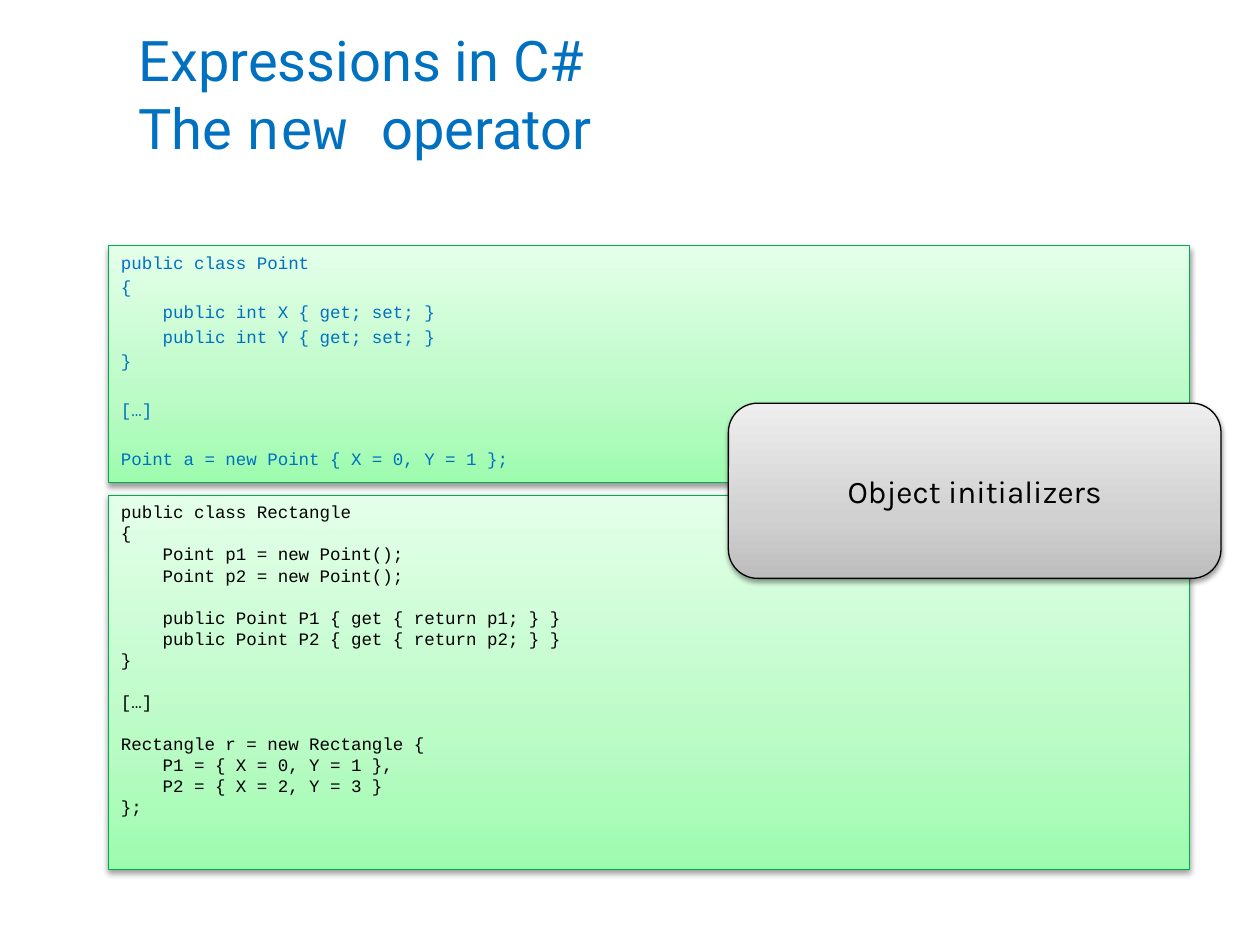
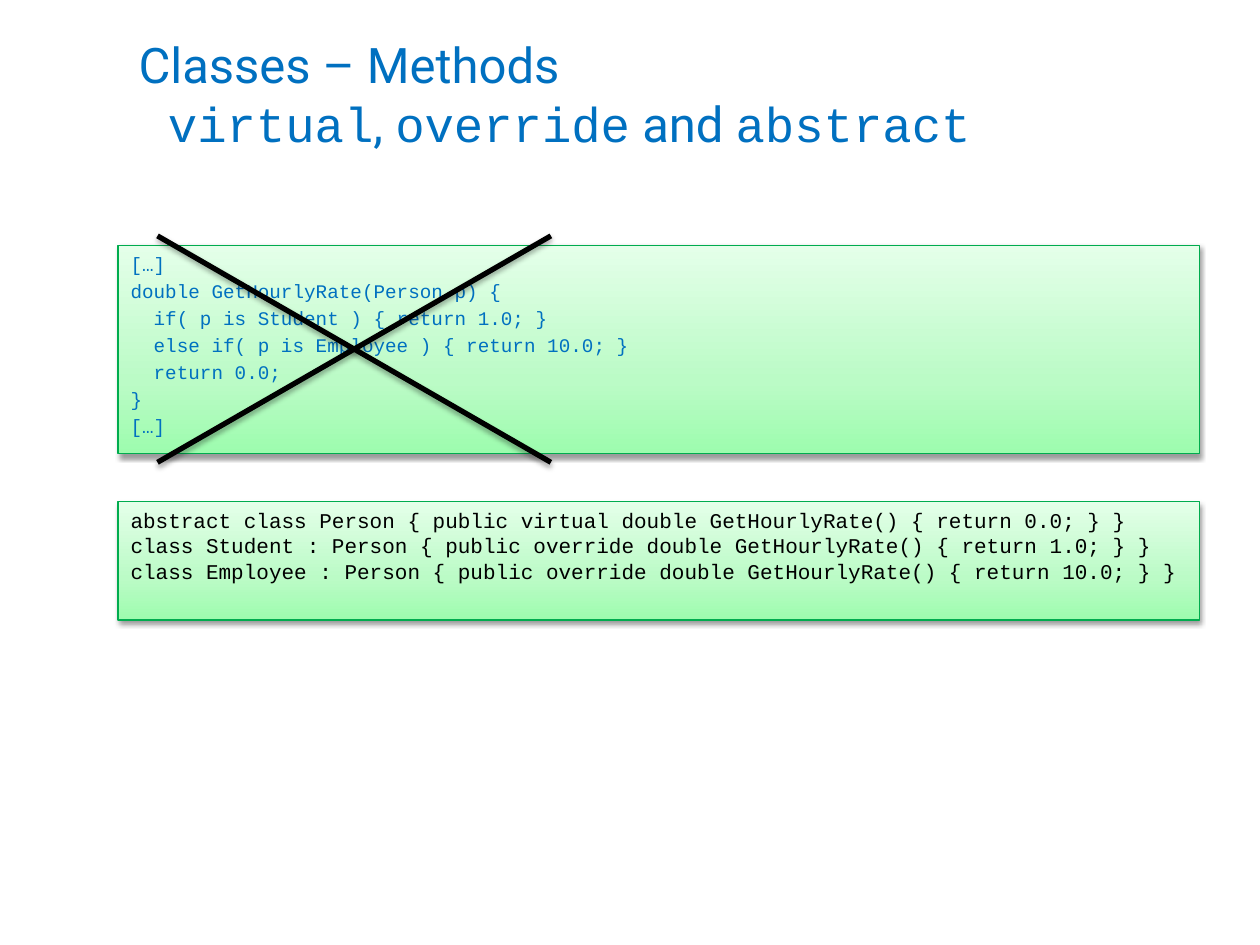
import lxml.etree
import copy
import pptx
import pptx.util
import pptx.dml.color
import pptx.enum.shapes
import pptx.enum.text
import pptx.oxml.ns

Pt = pptx.util.Pt
qn = pptx.oxml.ns.qn
Shape = pptx.enum.shapes.MSO_SHAPE
Anchor = pptx.enum.text.MSO_ANCHOR
Align = pptx.enum.text.PP_ALIGN

BLUE, BLACK, GREEN = "0070C0", "000000", "00AC4E"
MINT = ("9DFCAE", "BBFBC6", "E4FFE9")
GREY = ("BDBDBD", "D1D1D1", "EEEEEE")
SANS, MONO, LABEL = "Roboto", "Courier New", "Karla"
WIDE, TOP = 617.8, 140.4

POINT = """public class Point
{
    public int X { get; set; }
    public int Y { get; set; }
}

[…]

Point a = new Point { X = 0, Y = 1 };"""

RECT = """public class Rectangle
{
    Point p1 = new Point();
    Point p2 = new Point();

    public Point P1 { get { return p1; } }
    public Point P2 { get { return p2; } }
}

[…]

Rectangle r = new Rectangle {
    P1 = { X = 0, Y = 1 },
    P2 = { X = 2, Y = 3 }
};"""

CHECKS = """[…]
double GetHourlyRate(Person p) {
  if( p is Student ) { return 1.0; }
  else if( p is Employee ) { return 10.0; }
  return 0.0;
}
[…]"""

PEOPLE = """abstract class Person { public virtual double GetHourlyRate() { return 0.0; } }
class Student : Person { public override double GetHourlyRate() { return 1.0; } }
class Employee : Person { public override double GetHourlyRate() { return 10.0; } }"""


def paint(code):
    return pptx.dml.color.RGBColor.from_string(code)


class Deck:
    def __init__(self):
        self.show = pptx.Presentation()
        self.show.slide_width, self.show.slide_height = Pt(720), Pt(540)

    def title(self, size, *lines):
        self.slide = self.show.slides.add_slide(self.show.slide_layouts[5])
        head = self.slide.shapes.title
        head.left, head.top, head.width, head.height = Pt(72), Pt(12.2), Pt(630), Pt(82.1)
        frame = head.text_frame
        frame.auto_size = pptx.enum.text.MSO_AUTO_SIZE.NONE
        frame.vertical_anchor = Anchor.MIDDLE
        para = frame.paragraphs[0]
        para.alignment = Align.LEFT
        self.font(para.font, SANS, size, BLUE)
        for row, line in enumerate(lines):
            if row:
                para.add_line_break()
            for text, face in line:
                run = para.add_run()
                run.text, run.font.name = text, face

    def font(self, font, face, size, tint):
        font.name, font.size = face, Pt(size)
        font.color.rgb = paint(tint)

    def shade(self, part, alpha, far):
        effects = lxml.etree.SubElement(part.element.spPr, qn("a:effectLst"))
        outer = lxml.etree.SubElement(
            effects, qn("a:outerShdw"), blurRad=str(Pt(3.1)), dist=str(Pt(far)),
            dir="5400000", rotWithShape="0")
        tint = lxml.etree.SubElement(outer, qn("a:srgbClr"), val=BLACK)
        lxml.etree.SubElement(tint, qn("a:alpha"), val=str(alpha * 1000))

    def panel(self, kind, box, tints, edge):
        shape = self.slide.shapes.add_shape(kind, *map(Pt, box))
        shape.fill.gradient()
        shape.fill.gradient_angle = 90
        stops = shape.element.spPr.find(".//" + qn("a:gsLst"))
        stops.append(copy.deepcopy(stops[0]))
        for stop, tint, place in zip(shape.fill.gradient_stops, tints, (0, 0.35, 1)):
            stop.color.rgb, stop.position = paint(tint), place
        shape.line.color.rgb = paint(edge)
        shape.line.width = Pt(0.75)
        self.shade(shape, 38, 1.6)
        shape.text_frame.word_wrap = True
        return shape.text_frame

    def code(self, left, top, high, text, size, tint, lead=0):
        frame = self.panel(Shape.RECTANGLE, (left, top, WIDE, high), MINT, GREEN)
        frame.vertical_anchor = Anchor.TOP
        para, gap = frame.paragraphs[0], 0
        for row, line in enumerate(text.split("\n")):
            if not line:
                gap += 1.2 * size + lead
                continue
            if row:
                para = frame.add_paragraph()
                para.space_before = Pt(lead + gap)
            para.text, para.alignment, gap = line, Align.LEFT, 0
            self.font(para.font, MONO, size, tint)

    def badge(self, box, text):
        frame = self.panel(Shape.ROUNDED_RECTANGLE, box, GREY, BLACK)
        frame.vertical_anchor = Anchor.MIDDLE
        para = frame.paragraphs[0]
        para.text, para.alignment = text, Align.CENTER
        self.font(para.font, LABEL, 18, BLACK)

    def stroke(self, *ends):
        line = self.slide.shapes.add_connector(
            pptx.enum.shapes.MSO_CONNECTOR.STRAIGHT, *map(Pt, ends))
        line.line.color.rgb = paint(BLACK)
        line.line.width = Pt(3)
        self.shade(line, 35, 1.8)

    def cross(self, left, top, right, low):
        self.stroke(left, low, right, top)
        self.stroke(right, low, left, top)


def main():
    deck = Deck()

    deck.title(32, [("Expressions in C#", SANS)],
               [("The ", SANS), ("new ", MONO), ("operator", SANS)])
    deck.code(62, TOP, 135.4, POINT, 10, BLUE, 2)
    deck.code(62, 283, 213.8, RECT, 10, BLACK)
    deck.badge((416.2, 230.4, 281.5, 100.1), "Object initializers")

    deck.title(28, [("Classes – Methods", SANS)],
               [(" virtual", MONO), (", ", SANS), ("override", MONO),
                (" and ", SANS), ("abstract", MONO)])
    deck.code(67.5, TOP, 118.8, CHECKS, 11, BLUE, 2.2)
    deck.code(67.5, 286.6, 67.7, PEOPLE, 12, BLACK)
    deck.cross(90, 134.8, 314.8, 264.2)

    deck.show.save("out.pptx")


if __name__ == "__main__":
    main()
